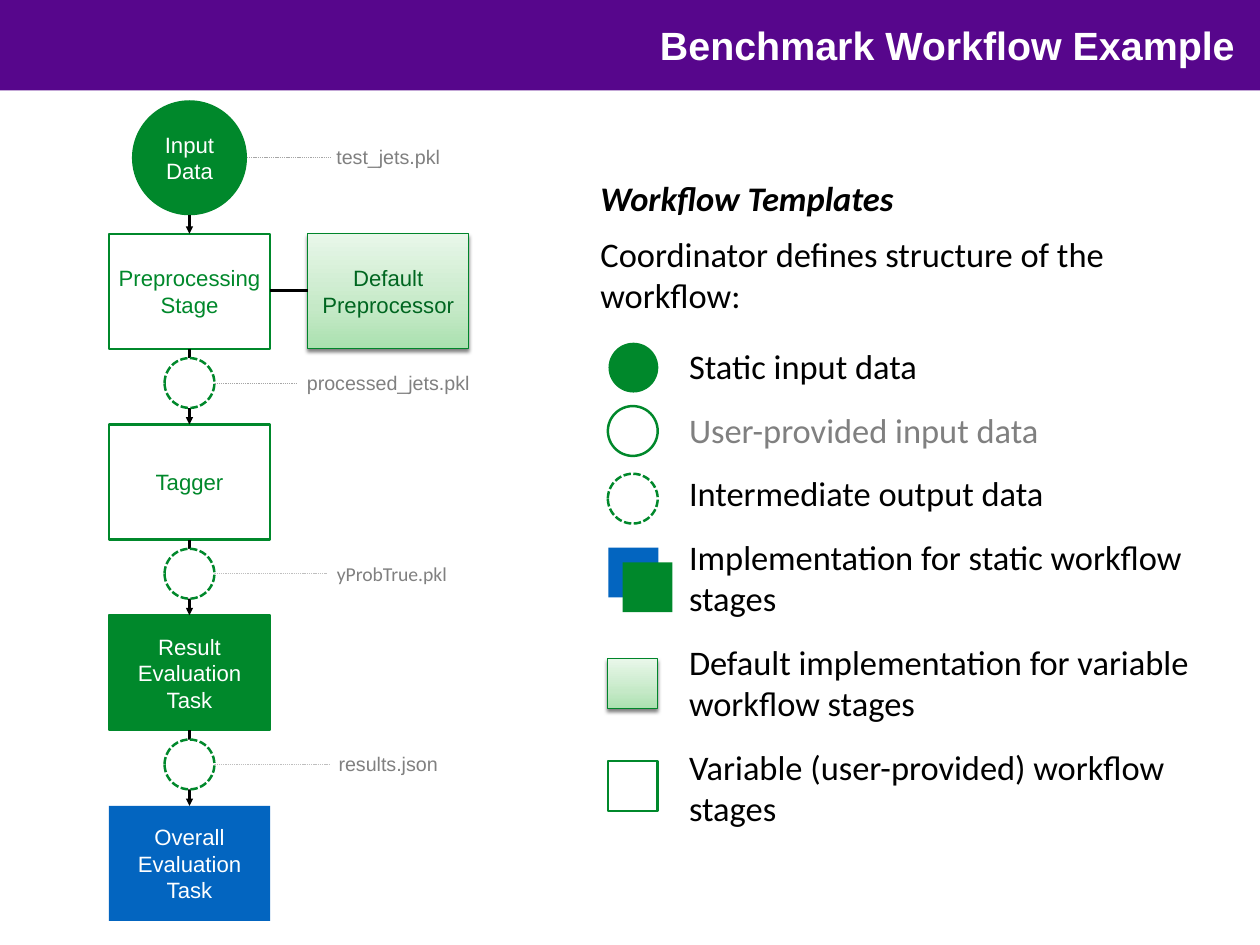
from copy import deepcopy

from lxml.etree import SubElement
from pptx import Presentation
from pptx.dml.color import RGBColor
from pptx.enum.dml import MSO_LINE as Dash
from pptx.enum.shapes import MSO_CONNECTOR, MSO_SHAPE as Kind
from pptx.enum.text import MSO_ANCHOR, PP_ALIGN as Align
from pptx.oxml.ns import qn
from pptx.util import Pt


class Theme:
    purple, green, blue = "57068C", "00882B", "0365C0"
    edge_green, dark_green = "00852A", "006620"
    white, black, grey = "FFFFFF", "000000", "808080"
    guide, pale_guide = "A6A6A6", "BFBFBF"
    fade = ((0, "AAE1AF"), (0.35, "C5E9C7"), (1, "E8F7E9"))
    sans, body = "Arial", "Calibri"
    title_size, legend_size, stage_size, label_size = 32, 28, 18, 16


def place_shape(kind, left, top, width, height, fill, line=None, dash=None):
    """Add a shape; a fill given as gradient stops also brings a soft shadow."""
    shape = page.shapes.add_shape(kind, Pt(left), Pt(top), Pt(width), Pt(height))
    shape.shadow.inherit = False
    if line:
        shape.line.color.rgb = RGBColor.from_string(line)
        shape.line.width = Pt(0.75 if fill == Theme.fade else 2)
        shape.line.dash_style = dash
    else:
        shape.line.fill.background()
    if fill != Theme.fade:
        shape.fill.solid()
        shape.fill.fore_color.rgb = RGBColor.from_string(fill)
        return shape

    shape.fill.gradient()
    shape.fill.gradient_angle = 90
    properties = shape._element.spPr
    stop_list = properties.find(".//" + qn("a:gsLst"))
    stop_list.append(deepcopy(stop_list[0]))
    for stop, (position, color) in zip(shape.fill.gradient_stops, fill):
        stop.position = position
        stop.color.rgb = RGBColor.from_string(color)
    shadow = SubElement(properties.find(qn("a:effectLst")), qn("a:outerShdw"),
                        blurRad=str(Pt(3)), dist=str(Pt(2)), dir="5400000", rotWithShape="0")
    shade = SubElement(shadow, qn("a:srgbClr"), val=Theme.black)
    SubElement(shade, qn("a:alpha"), val="50000")
    return shape


def write(box, lines, size, color, font=Theme.sans, align=Align.CENTER, wrap=True):
    """Fill a shape with one paragraph per line and return its paragraphs."""
    frame = box.text_frame
    frame.text = "\n".join(lines)
    frame.word_wrap = wrap
    frame.vertical_anchor = MSO_ANCHOR.MIDDLE
    frame.margin_left = frame.margin_right = frame.margin_top = frame.margin_bottom = Pt(4)
    for para in frame.paragraphs:
        para.alignment = align
        para.font.name = font
        para.font.size = Pt(size)
        para.font.color.rgb = RGBColor.from_string(color)
    return frame.paragraphs


deck = Presentation()
deck.slide_width, deck.slide_height = Pt(1024), Pt(768)
page = deck.slides.add_slide(deck.slide_layouts[6])

# Header
place_shape(Kind.RECTANGLE, 0, 0, 1024, 73.5, Theme.purple)
title = page.shapes.add_textbox(Pt(13), Pt(12.5), Pt(995), Pt(47))
write(title, ["Benchmark Workflow Example"], Theme.title_size, Theme.white,
      align=Align.RIGHT)[0].font.bold = True

# Workflow stages, evenly spaced down one axis
axis, pitch = 154, 155
stage_left, stage_top, stage_width, stage_height = 88.5, 190, 131, 93.5
default_left = 250
input_top, input_size = 81.5, 93.5
dot_top, dot_size = 291, 40.5

source = place_shape(Kind.OVAL, axis - input_size / 2, input_top, input_size, input_size,
                     Theme.green)
write(source, ["Input", "Data"], Theme.stage_size, Theme.white)

stages = [
    (["Preprocessing", "Stage"], Theme.white, Theme.green, Theme.green),
    (["Tagger"], Theme.white, Theme.green, Theme.green),
    (["Result", "Evaluation", "Task"], Theme.green, Theme.green, Theme.white),
    (["Overall Evaluation", "Task"], Theme.blue, None, Theme.white),
]
for row, (lines, fill, line, color) in enumerate(stages):
    stage = place_shape(Kind.RECTANGLE, stage_left, stage_top + row * pitch,
                        stage_width, stage_height, fill, line)
    write(stage, lines, Theme.stage_size, color)

default = place_shape(Kind.RECTANGLE, default_left, stage_top, stage_width, stage_height,
                      Theme.fade, Theme.edge_green)
write(default, ["Default Preprocessor"], Theme.stage_size, Theme.dark_green)

# File labels: name, centre x, centre y, guide start, guide end, guide colour, font
dot_right = axis + dot_size / 2
files = [
    ("test_jets.pkl", 315.5, 127.5, 200.5, 268.5, Theme.guide, Theme.sans),
    ("processed_jets.pkl", 315.5, 311, dot_right, 240.5, Theme.guide, Theme.sans),
    ("yProbTrue.pkl", 318.5, 311 + pitch, dot_right, 265.5, Theme.pale_guide, Theme.body),
    ("results.json", 315.5, 311 + 2 * pitch, dot_right, 268.5, Theme.pale_guide, Theme.sans),
]
for name, center, middle, start, end, color, font in files:
    label = page.shapes.add_textbox(Pt(center - 75), Pt(middle - 13.5), Pt(150), Pt(27))
    write(label, [name], Theme.label_size, Theme.grey, font, wrap=False)

# Connectors: start x, start y, end x, end y, colour, width, dash, arrow
links = [(stage_left + stage_width, 236, default_left, 236, Theme.black, 2, None, False),
         (axis, input_top + input_size, axis, stage_top, Theme.black, 2, None, True)]
for row in range(3):
    bottom = stage_top + stage_height + row * pitch
    links.append((axis, bottom, axis, stage_top + (row + 1) * pitch,
                  Theme.black, 2, None, True))
for name, center, middle, start, end, color, font in files:
    links.append((start, middle, end, middle, color, 0.25, Dash.DASH, False))

for start_x, start_y, end_x, end_y, color, width, dash, arrow in links:
    link = page.shapes.add_connector(MSO_CONNECTOR.STRAIGHT, Pt(start_x), Pt(start_y),
                                     Pt(end_x), Pt(end_y))
    link.line.color.rgb = RGBColor.from_string(color)
    link.line.width = Pt(width)
    link.line.dash_style = dash
    if arrow:
        SubElement(link.line._get_or_add_ln(), qn("a:tailEnd"), type="triangle")
    SubElement(link._element.spPr, qn("a:effectLst"))

for row in range(3):
    place_shape(Kind.OVAL, axis - dot_size / 2, dot_top + row * pitch, dot_size, dot_size,
                Theme.white, Theme.green, Dash.SQUARE_DOT)

# Legend
legend = page.shapes.add_textbox(Pt(484), Pt(137.5), Pt(519), Pt(542))
paras = write(legend, [
    "Workflow Templates",
    "Coordinator defines structure of the workflow:",
    "Static input data",
    "User-provided input data",
    "Intermediate output data",
    "Implementation for static workflow stages",
    "Default implementation for variable workflow stages",
    "Variable (user-provided) workflow stages",
], Theme.legend_size, Theme.black, Theme.body, Align.LEFT)
heading, intro, *entries = paras
heading.font.bold = heading.font.italic = True
heading.space_after = Pt(12)
intro.space_after = Pt(24)
for entry in entries:
    entry.space_after = Pt(18)
    entry._p.get_or_add_pPr().set("marL", str(Pt(72)))
entries[1].font.color.rgb = RGBColor.from_string(Theme.grey)

symbols = [
    (Kind.OVAL, 494.5, 278.5, Theme.green, None, None),
    (Kind.OVAL, 494, 330, Theme.white, Theme.green, None),
    (Kind.OVAL, 494, 385, Theme.white, Theme.green, Dash.SQUARE_DOT),
    (Kind.RECTANGLE, 494.5, 445, Theme.blue, None, None),
    (Kind.RECTANGLE, 506, 457, Theme.green, None, None),
    (Kind.RECTANGLE, 494, 535.5, Theme.fade, Theme.edge_green, None),
    (Kind.RECTANGLE, 494, 618.5, Theme.white, Theme.green, None),
]
for kind, left, top, fill, line, dash in symbols:
    place_shape(kind, left, top, dot_size, dot_size, fill, line, dash)

deck.save("out.pptx")
